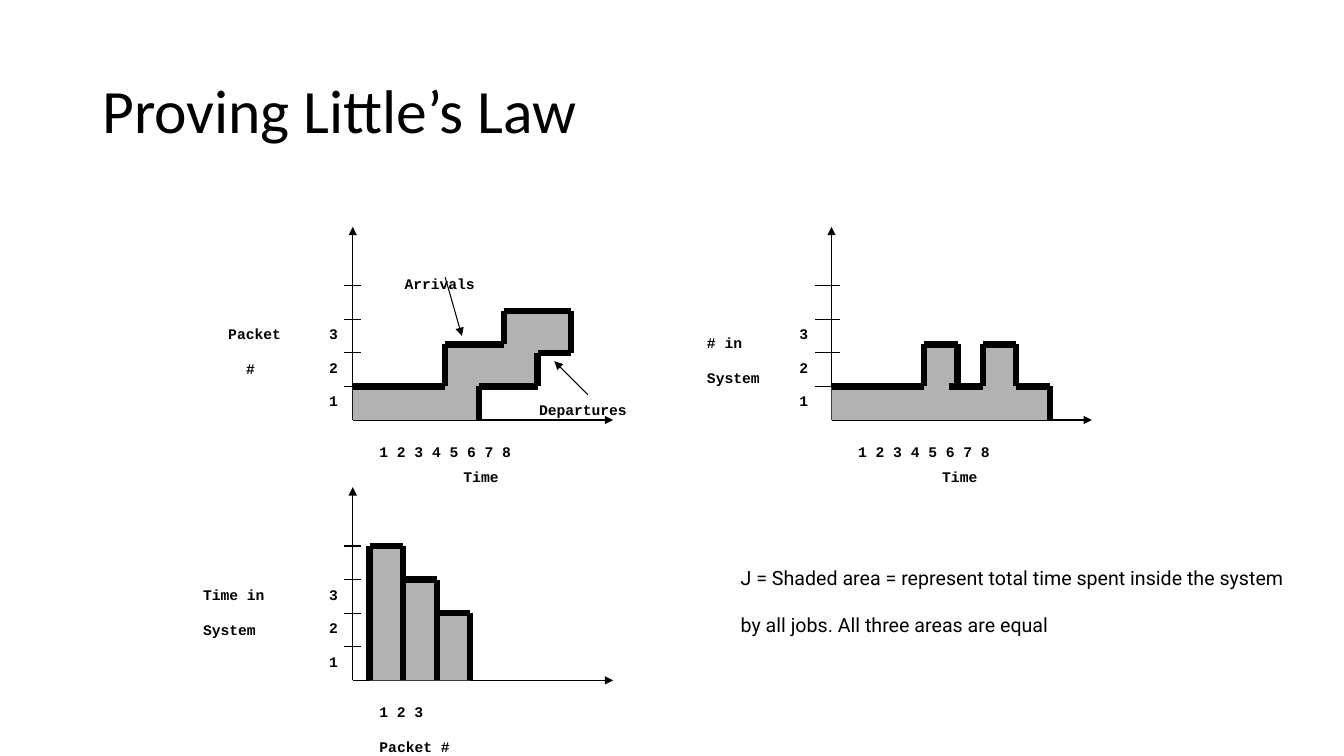
from lxml.etree import SubElement
from pptx import Presentation
from pptx.dml.color import RGBColor
from pptx.enum.shapes import MSO_CONNECTOR, MSO_SHAPE
from pptx.enum.text import MSO_ANCHOR
from pptx.oxml.ns import qn
from pptx.util import Cm, Pt

INK, SHADE = "000000", "B2B2B2"
HEAD = {"name": "Calibri", "size": Pt(44)}
BODY = {"name": "Roboto", "size": Pt(14)}
CODE = {"name": "Courier New", "size": Pt(10.5), "bold": True}


def grid(n):
    """Length of n grid steps, twelve steps to the inch."""
    return Cm(n * 2.54 / 12)


def color(fmt, code):
    fmt.rgb = RGBColor.from_string(code)


def label(slide, lines, x, y, wide, high, style=CODE, gap=2.0, indent=0):
    """Text box with one paragraph a line; indent shifts the last line."""
    box = slide.shapes.add_textbox(grid(x), grid(y), grid(wide), grid(high))
    frame = box.text_frame
    frame.word_wrap = True
    for i, line in enumerate(lines):
        para = frame.paragraphs[0] if i == 0 else frame.add_paragraph()
        para.line_spacing = gap
        run = para.add_run()
        run.text = line
        for key, value in style.items():
            setattr(run.font, key, value)
        color(run.font.color, INK)
    if indent:
        para._p.get_or_add_pPr().set("marL", str(Cm(indent)))
    return frame


def stroke(slide, start, end, width=0.75, arrow=False):
    line = slide.shapes.add_connector(
        MSO_CONNECTOR.STRAIGHT, *map(grid, (*start, *end)))
    line.line.width = Pt(width)
    color(line.line.color, INK)
    props = line._element.spPr
    if arrow:
        SubElement(props.find(qn("a:ln")), qn("a:tailEnd"), type="triangle")
    SubElement(props, qn("a:effectLst"))


def block(slide, x, y, wide, high):
    rect = slide.shapes.add_shape(
        MSO_SHAPE.RECTANGLE, *map(grid, (x, y, wide, high)))
    rect.shadow.inherit = False
    rect.fill.solid()
    color(rect.fill.fore_color, SHADE)
    rect.line.fill.background()


def graph(slide, left, base, blocks, paths, ticks, marks, count):
    """Axes, shaded blocks, thick outline, ticks and numbers.

    Blocks and paths count grid steps right and up from the axis corner.
    """
    # Axes
    stroke(slide, (left, base), (left + 31, base), arrow=True)
    stroke(slide, (left, base), (left, base - 23), arrow=True)
    # Shaded area and its outline
    for x, y, wide, high in blocks:
        block(slide, left + x, base - y - high, wide, high)
    for path in paths:
        spots = [(left + x, base - y) for x, y in path]
        for start, end in zip(spots, spots[1:]):
            stroke(slide, start, end, 4.5)
    # Ticks and numbers
    for level in range(1, 5):
        y = base - 4 * level
        for x in ticks:
            stroke(slide, (left + x, y), (left + x + 2, y))
        if level < 4:
            label(slide, [str(level)], left + marks, y - 2, 4.2, 4.8)
    digits = " ".join(str(n) for n in range(1, count + 1))
    label(slide, [digits], left + 2, base, 29.3, 4.8)


def main():
    deck = Presentation()
    deck.slide_width, deck.slide_height = Cm(33.87), Cm(19.05)
    slide = deck.slides.add_slide(deck.slide_layouts[6])

    # Title and conclusion
    title = label(slide, ["Proving Little’s Law"], 11, 4.8, 138, 17.4, HEAD, 0.9)
    title.vertical_anchor = MSO_ANCHOR.MIDDLE
    label(slide, ["J = Shaded area = represent total time spent inside the "
                  "system by all jobs. All three areas are equal"],
          87, 64, 67.3, 25.4, BODY)

    # Arrivals and departures by packet
    graph(slide, 42, 50,
          [(0, 0, 15, 4), (11, 0, 4, 9), (11, 4, 11, 5),
           (18, 4, 4, 9), (18, 8, 8, 5)],
          [[(0, 4), (11, 4), (11, 9), (18, 9), (18, 13), (26, 13),
            (26, 8), (22, 8), (22, 4), (15, 4), (15, 0)]],
          [-1], -4, 8)
    label(slide, ["Packet", "#"], 26, 36, 13.2, 8.4, indent=0.45)
    label(slide, ["Time"], 54, 53, 11.4, 4.8)

    # Number in system
    graph(slide, 99, 50,
          [(0, 0, 15, 4), (11, 0, 4, 9), (11, 0, 15, 4), (18, 0, 4, 9)],
          [[(0, 4), (11, 4), (11, 9), (15, 9), (15, 4)],
           [(14, 4), (18, 4), (18, 9), (22, 9), (22, 4), (26, 4), (26, 0)]],
          [-1, -2], -5, 8)
    label(slide, ["# in", "System"], 83, 37, 13.2, 8.4)
    label(slide, ["Time"], 111, 53, 11.4, 4.8)

    # Time in system by packet
    bars = [(2, 16), (6, 12), (10, 8)]
    graph(slide, 42, 81,
          [(x, 0, 4, high) for x, high in bars],
          [[(2, 0), (2, 16)]]
          + [[(x, high), (x + 4, high), (x + 4, 0)] for x, high in bars],
          [-1], -4, 3)
    label(slide, ["Time in", "System"], 23, 67, 15, 8.4)
    label(slide, ["Packet #"], 44, 85.2, 18.6, 4.8)

    # Callouts
    label(slide, ["Arrivals"], 47, 30, 16.8, 4.8)
    label(slide, ["Departures"], 63, 45, 20.3, 4.8)
    stroke(slide, (53, 33), (55, 40), arrow=True)
    stroke(slide, (70, 47), (66, 43), arrow=True)

    deck.save("out.pptx")


if __name__ == "__main__":
    main()
